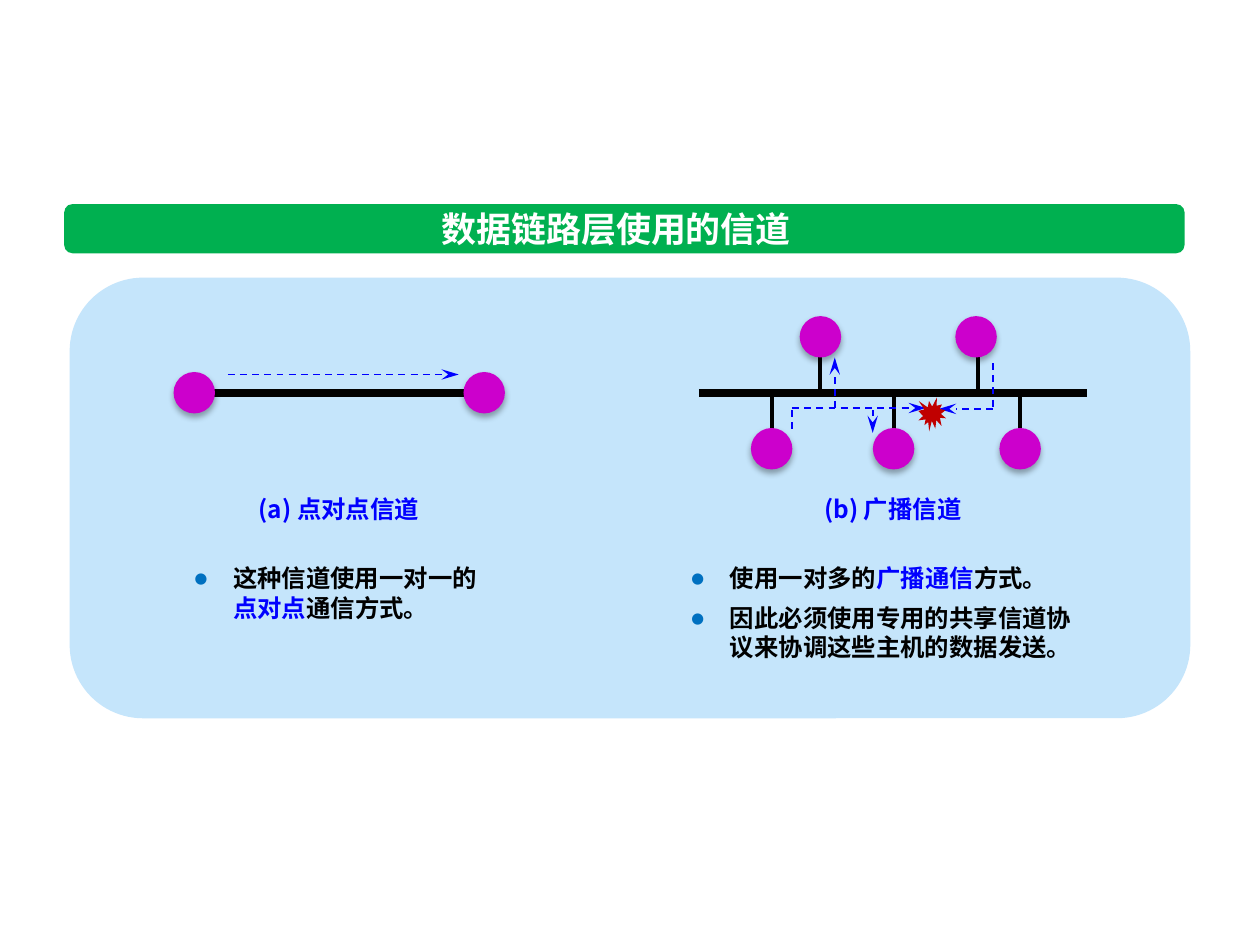
from lxml import etree
from pptx import Presentation, util as u
from pptx.dml.color import RGBColor
from pptx.enum import dml, shapes, text
from pptx.oxml import ns, parse_xml

NS = ns.nsdecls("a")
KIND = shapes.MSO_SHAPE


def tint(code):
    return RGBColor.from_string(code)


def sub(node, tag, **attrs):
    return etree.SubElement(node, ns.qn(tag), attrs)


class Sketch:
    blue, black, white = "0000FF", "000000", "FFFFFF"
    dot, node, seal = "0070C0", "CC00CC", "C00000"
    bar, panel = "00B050", "C5E5FB"
    font, head = "Noto Sans CJK SC", "Calibri"
    size, pitch = 13.9, 16.7
    ball = 23.6

    def __init__(self, slide):
        self.draw = slide.shapes

    def shape(self, kind, x, y, w, h, fill):
        item = self.draw.add_shape(kind, u.Pt(x), u.Pt(y), u.Pt(w), u.Pt(h))
        item.shadow.inherit = False
        item.fill.solid()
        item.fill.fore_color.rgb = tint(fill)
        item.line.fill.background()
        return item

    def host(self, x, y):
        """Draw a shadowed network node centred on x, y."""
        half = self.ball / 2
        item = self.shape(KIND.OVAL, x - half, y - half, self.ball, self.ball, self.node)
        effects = item._element.spPr.find(ns.qn("a:effectLst"))
        effects.append(parse_xml(
            f'<a:outerShdw {NS} blurRad="{u.Pt(3.5)}" dist="{u.Pt(2.2)}" '
            f'dir="5400000" rotWithShape="0"><a:srgbClr val="{self.black}">'
            '<a:alpha val="32000"/></a:srgbClr></a:outerShdw>'))

    def line(self, x1, y1, x2, y2, width, color=black):
        item = self.draw.add_connector(
            shapes.MSO_CONNECTOR.STRAIGHT, u.Pt(x1), u.Pt(y1), u.Pt(x2), u.Pt(y2))
        item.line.width = u.Pt(width)
        item.line.color.rgb = tint(color)
        sub(item._element.spPr, "a:effectLst")
        return item

    def flow(self, x1, y1, x2, y2, arrow=True):
        """Draw a dashed signal path, with an arrowhead at its end if asked."""
        item = self.line(x1, y1, x2, y2, 1, self.blue)
        item.line.dash_style = dml.MSO_LINE.DASH
        if arrow:
            sub(item.line._get_or_add_ln(), "a:tailEnd", type="stealth", w="med", len="lg")

    def box(self, x, y, w, h, wrap=True):
        frame = self.draw.add_textbox(u.Pt(x), u.Pt(y), u.Pt(w), u.Pt(h)).text_frame
        frame.word_wrap = wrap
        return frame

    def run(self, para, words, color, size=size, font=font, east=True):
        part = para.add_run()
        part.text = words
        part.font.size = u.Pt(size)
        part.font.bold = True
        part.font.color.rgb = tint(color)
        part.font.name = font
        if east:
            sub(part.font._element, "a:ea", typeface=font)

    def title(self, words, x, y, w, h):
        para = self.box(x, y, w, h, wrap=False).paragraphs[0]
        para.alignment = text.PP_ALIGN.CENTER
        self.run(para, words, self.white, 19.9, self.head, east=False)

    def bullet(self, para):
        props = para._p.get_or_add_pPr()
        props.set("marL", str(u.Pt(22.5)))
        props.set("indent", str(u.Pt(-22.5)))
        sub(sub(props, "a:buClr"), "a:srgbClr", val=self.dot)
        sub(props, "a:buFont", typeface=self.head)
        sub(props, "a:buChar", char="●")

    def notes(self, x, y, w, h, label, points):
        """Write a centred label above bullets made of (words, color) runs."""
        frame = self.box(x, y, w, h)
        para = frame.paragraphs[0]
        para.alignment = text.PP_ALIGN.CENTER
        para.line_spacing = u.Pt(self.pitch)
        self.run(para, label, self.blue)
        for i, parts in enumerate(points):
            para = frame.add_paragraph()
            para.line_spacing = u.Pt(self.pitch)
            para.space_before = u.Pt(6 if i else 6 + self.pitch)
            self.bullet(para)
            for words, color in parts:
                self.run(para, words, color)


def main():
    deck = Presentation()
    deck.slide_width = u.Pt(718)
    deck.slide_height = u.Pt(537)
    art = Sketch(deck.slides.add_slide(deck.slide_layouts[6]))
    blue, black = art.blue, art.black

    art.shape(KIND.ROUNDED_RECTANGLE, 36.6, 116.4, 638.4, 28, art.bar)
    art.shape(KIND.ROUNDED_RECTANGLE, 39.7, 158.3, 638.6, 251.2, art.panel)
    art.title("数据链路层使用的信道", 243.2, 115, 216, 31.7)

    # Point-to-point channel
    bus, left, right = 223.9, 110.7, 275.9
    art.line(left, bus, right, bus, 4.5)
    for x in (left, right):
        art.host(x, bus)
    art.flow(129.8, 213.5, 261.4, 213.5)

    # Broadcast channel: node x, stub x, node y
    high, low = 192, 255.8
    hosts = [(467.5, 467.5, high), (556.2, 557.3, high),
             (439.7, 439.7, low), (509.2, 509.2, low), (581.3, 581.3, low)]
    art.line(398.2, bus, 619.2, bus, 4.5)
    for x, stub, y in hosts:
        art.line(stub, bus, stub, y, 2.25)
        art.host(x, y)

    art.notes(103.2, 278.2, 180, 80.6, "(a) 点对点信道", [
        [("这种信道使用一对一的", black), ("点对点", blue), ("通信方式。", black)]])
    art.notes(386.4, 278.2, 244.8, 103.7, "(b) 广播信道", [
        [("使用一对多的", black), ("广播通信", blue), ("方式。", black)],
        [("因此必须使用专用的共享信道协议来协调这些主机的数据发送。", black)]])

    # Two signals that collide
    path, start, end = 232.6, 451.3, 565.8
    art.flow(end, 233.1, 535, 233.1)
    art.flow(end, 207, end, 233.1, arrow=False)
    art.flow(start, path, 527.6, path)
    art.flow(475.7, path, 475.7, 203.8)
    for x, arrow in ((497.3, True), (start, False)):
        art.flow(x, 233.8, x, 246.8, arrow)
    art.shape(KIND.EXPLOSION1, 523.3, 226.6, 15.8, 19.4, art.seal)

    deck.save("out.pptx")


if __name__ == "__main__":
    main()
